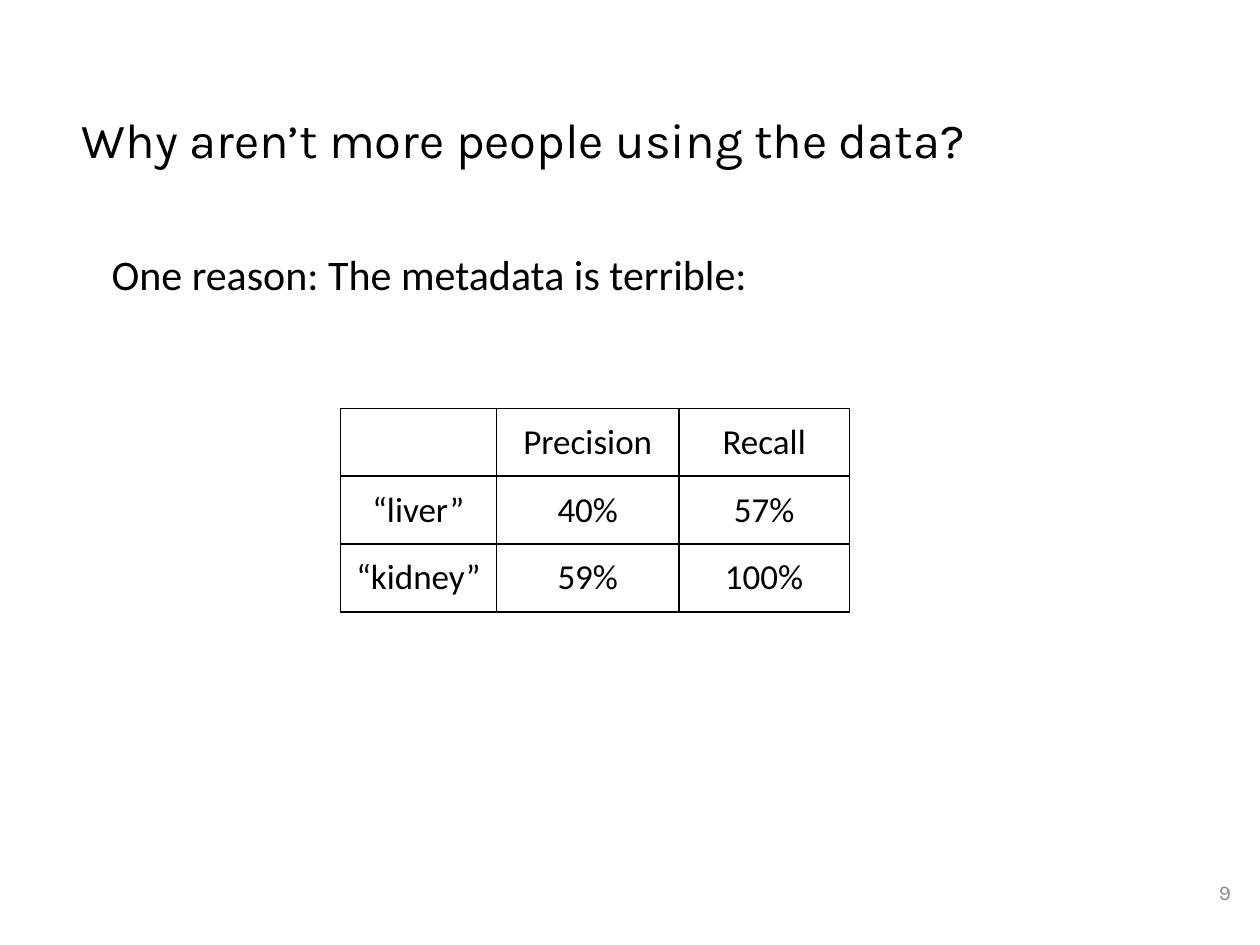
"""Build the slide on metadata quality."""
from lxml import etree
from pptx import Presentation
from pptx import util as u
from pptx.dml.color import RGBColor
from pptx.enum import text
from pptx.oxml import ns

BLACK = RGBColor(0x00, 0x00, 0x00)
GREY = RGBColor(0x89, 0x89, 0x89)
INSET = u.Cm(0.25)
SCORES = [
    ["", "Precision", "Recall"],
    ["“liver”", "40%", "57%"],
    ["“kidney”", "59%", "100%"],
]


def write(frame, words, size, font, color=BLACK, align=text.PP_ALIGN.LEFT,
          anchor=text.MSO_ANCHOR.TOP):
    """Fill a text frame with one formatted paragraph."""
    frame.text = words
    frame.word_wrap = True
    frame.auto_size = text.MSO_AUTO_SIZE.NONE
    frame.vertical_anchor = anchor
    frame.margin_left = frame.margin_right = INSET
    paragraph = frame.paragraphs[0]
    paragraph.alignment = align
    for run in paragraph.runs:
        run.font.size = u.Pt(size)
        run.font.name = font
        run.font.color.rgb = color


def add_heading(slide, left, top, width, height):
    """Place the question in the title placeholder."""
    heading = slide.shapes.title
    heading.left, heading.top, heading.width, heading.height = left, top, width, height
    write(heading.text_frame, "Why aren’t more people using the data?", 28, "Karla")
    heading.text_frame.margin_top = heading.text_frame.margin_bottom = INSET


def add_reason(slide, left, top, width, height):
    """Place the sentence that introduces the scores."""
    reason = slide.shapes.add_textbox(left, top, width, height)
    write(reason.text_frame, "One reason: The metadata is terrible:", 24, "Calibri")


def add_page_number(slide, left, top, width, height):
    """Place the page number, right-aligned in its box."""
    number = slide.shapes.add_textbox(left, top, width, height)
    write(number.text_frame, "9", 12, "Karla", GREY, text.PP_ALIGN.RIGHT,
          text.MSO_ANCHOR.MIDDLE)


def outline_cell(cell):
    """Draw a thin black border on all four sides of a cell."""
    properties = cell._tc.get_or_add_tcPr()
    for position, side in enumerate(("a:lnL", "a:lnR", "a:lnT", "a:lnB")):
        border = etree.Element(ns.qn(side), w=str(u.Pt(1)))
        fill = etree.SubElement(border, ns.qn("a:solidFill"))
        etree.SubElement(fill, ns.qn("a:srgbClr"), val=str(BLACK))
        properties.insert(position, border)


def add_scores(slide, left, top, column_widths, row_height):
    """Place the table of precision and recall for each tissue."""
    scores = slide.shapes.add_table(
        len(SCORES), len(column_widths), left, top,
        sum(column_widths), row_height * len(SCORES)).table
    scores.first_row = scores.horz_banding = False
    for column, width in zip(scores.columns, column_widths):
        column.width = width
    for row, values in zip(scores.rows, SCORES):
        row.height = row_height
        for cell, value in zip(row.cells, values):
            cell.margin_left = cell.margin_right = INSET
            cell.margin_top = cell.margin_bottom = INSET
            cell.fill.background()
            outline_cell(cell)
            cell.text = value
            paragraph = cell.text_frame.paragraphs[0]
            paragraph.alignment = text.PP_ALIGN.CENTER
            paragraph.font.size = u.Pt(20)
            for run in paragraph.runs:
                run.font.size = u.Pt(20)
                run.font.name = "Calibri"
                run.font.color.rgb = BLACK


def main():
    """Assemble and save the slide."""
    deck = Presentation()
    deck.slide_width, deck.slide_height = u.Cm(25.4), u.Cm(19.05)
    slide = deck.slides.add_slide(deck.slide_layouts[5])
    add_heading(slide, u.Cm(1.4), u.Cm(1.96), u.Cm(23.67), u.Cm(2.11))
    add_scores(slide, u.Cm(6.86), u.Cm(8.23),
               [u.Cm(3.15), u.Cm(3.68), u.Cm(3.43)], u.Cm(1.37))
    add_page_number(slide, u.Cm(23.55), u.Cm(17.27), u.Cm(1.52), u.Cm(1.45))
    add_reason(slide, u.Cm(2), u.Cm(4.88), u.Cm(14.55), u.Cm(1.27))
    deck.save("out.pptx")


if __name__ == "__main__":
    main()
